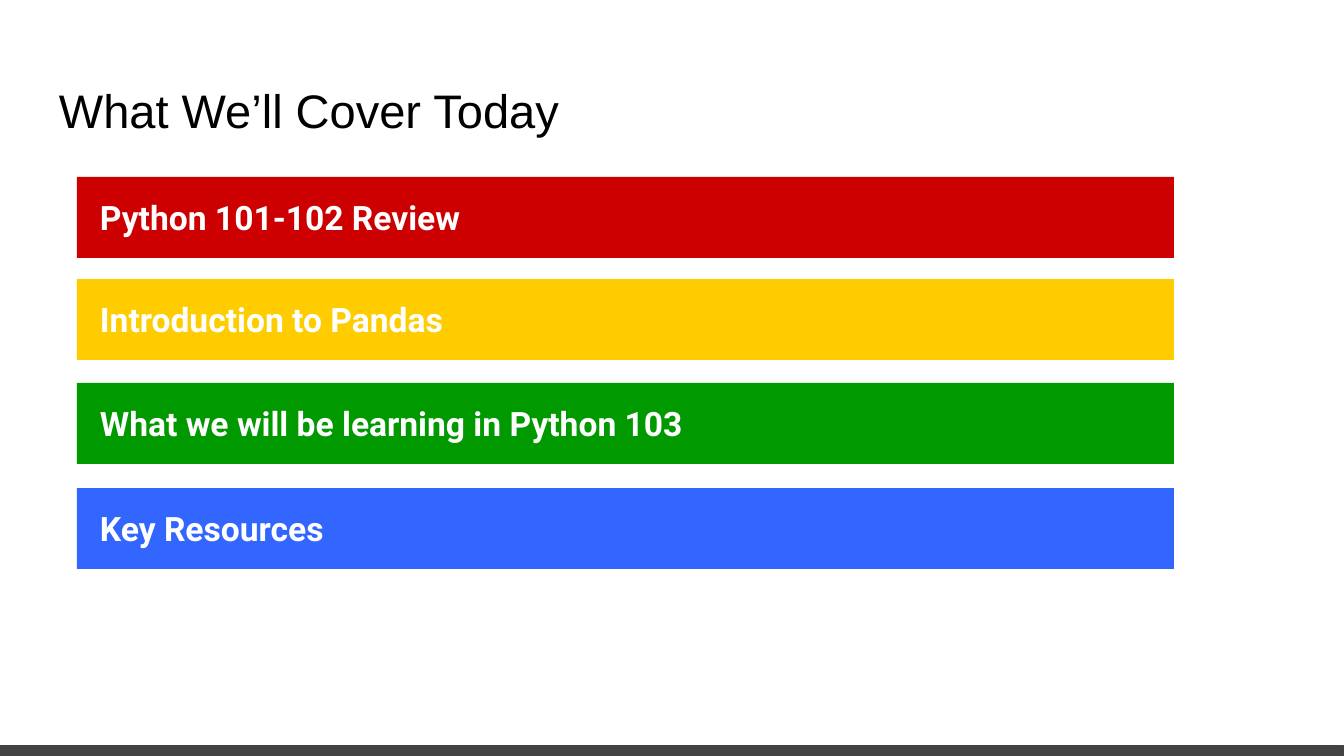
from dataclasses import dataclass

from pptx import Presentation
from pptx.dml.color import RGBColor
from pptx.enum.shapes import MSO_SHAPE
from pptx.enum.text import MSO_ANCHOR, PP_ALIGN
from pptx.shapes.autoshape import Shape
from pptx.slide import Slide
from pptx.util import Emu, Pt

RECTANGLE = MSO_SHAPE.RECTANGLE
MIDDLE = MSO_ANCHOR.MIDDLE
LEFT = PP_ALIGN.LEFT
EMU_PER_PX = 914400 / 134.4


@dataclass(frozen=True)
class Theme:
    """Colours, fonts and type sizes of the slide."""
    ink: str = "000000"
    white: str = "FFFFFF"
    footer: str = "434343"
    red: str = "CC0000"
    yellow: str = "FFCC00"
    green: str = "009900"
    blue: str = "3366FF"
    title_font: str = "Arial"
    title_size: float = 25.2
    topic_font: str = "Roboto"
    topic_size: float = 18
    footer_line: float = 1.5


@dataclass(frozen=True)
class Box:
    """A rectangle in px."""
    left: int
    top: int
    width: int
    height: int


@dataclass(frozen=True)
class Topic:
    """One agenda bar."""
    text: str
    top: int
    color: str


THEME = Theme()
PAGE = Box(0, 0, 1344, 756)
TITLE = Box(46, 67, 1253, 85)
FOOTER = Box(0, 747, PAGE.width, 9)
BAR_LEFT, BAR_WIDTH, BAR_HEIGHT = 77, 1097, 81
TITLE_INSET, TOPIC_INDENT, TOPIC_INSET = 13, 23, 9
TOPICS = (
    Topic("Python 101-102 Review", 177, THEME.red),
    Topic("Introduction to Pandas", 279, THEME.yellow),
    Topic("What we will be learning in Python 103", 383, THEME.green),
    Topic("Key Resources", 488, THEME.blue),
)


def px(length: int) -> Emu:
    """Turn px into EMU."""
    return Emu(round(length * EMU_PER_PX))


def bounds(box: Box) -> tuple[Emu, Emu, Emu, Emu]:
    """Give the position and size of a box in EMU."""
    return px(box.left), px(box.top), px(box.width), px(box.height)


def add_bar(page: Slide, box: Box, color: str) -> Shape:
    """Draw a flat rectangle without an outline."""
    bar = page.shapes.add_shape(RECTANGLE, *bounds(box))
    bar.shadow.inherit = False
    bar.fill.solid()
    bar.fill.fore_color.rgb = RGBColor.from_string(color)
    bar.line.fill.background()
    return bar


def write(shape: Shape, text: str, font: str, size: float, color: str,
          bold: bool, indent: int, inset: int) -> None:
    """Set one left-aligned, vertically centred line of text."""
    frame = shape.text_frame
    frame.word_wrap = True
    frame.vertical_anchor = MIDDLE
    frame.margin_left = px(indent)
    frame.margin_top = frame.margin_right = frame.margin_bottom = px(inset)
    para = frame.paragraphs[0]
    para.text = text
    para.alignment = LEFT
    para.font.name = font
    para.font.size = Pt(size)
    para.font.bold = bold
    para.font.color.rgb = RGBColor.from_string(color)


def add_footer(page: Slide) -> None:
    """Draw the strip along the bottom edge."""
    strip = add_bar(page, FOOTER, THEME.footer)
    strip.line.color.rgb = RGBColor.from_string(THEME.footer)
    strip.line.width = Pt(THEME.footer_line)


def add_topic(page: Slide, topic: Topic) -> None:
    """Draw an agenda bar with its label."""
    bar = add_bar(page, Box(BAR_LEFT, topic.top, BAR_WIDTH, BAR_HEIGHT), topic.color)
    write(bar, topic.text, THEME.topic_font, THEME.topic_size, THEME.white,
          True, TOPIC_INDENT, TOPIC_INSET)


def add_title(page: Slide) -> None:
    """Draw the slide heading."""
    heading = page.shapes.add_textbox(*bounds(TITLE))
    write(heading, "What We’ll Cover Today", THEME.title_font, THEME.title_size,
          THEME.ink, False, TITLE_INSET, TITLE_INSET)


def main() -> None:
    """Build and save the agenda slide."""
    deck = Presentation()
    deck.slide_width, deck.slide_height = px(PAGE.width), px(PAGE.height)
    page = deck.slides.add_slide(deck.slide_layouts[6])
    page.background.fill.solid()
    page.background.fill.fore_color.rgb = RGBColor.from_string(THEME.white)
    add_footer(page)
    for topic in TOPICS:
        add_topic(page, topic)
    add_title(page)
    deck.save("out.pptx")


if __name__ == "__main__":
    main()
